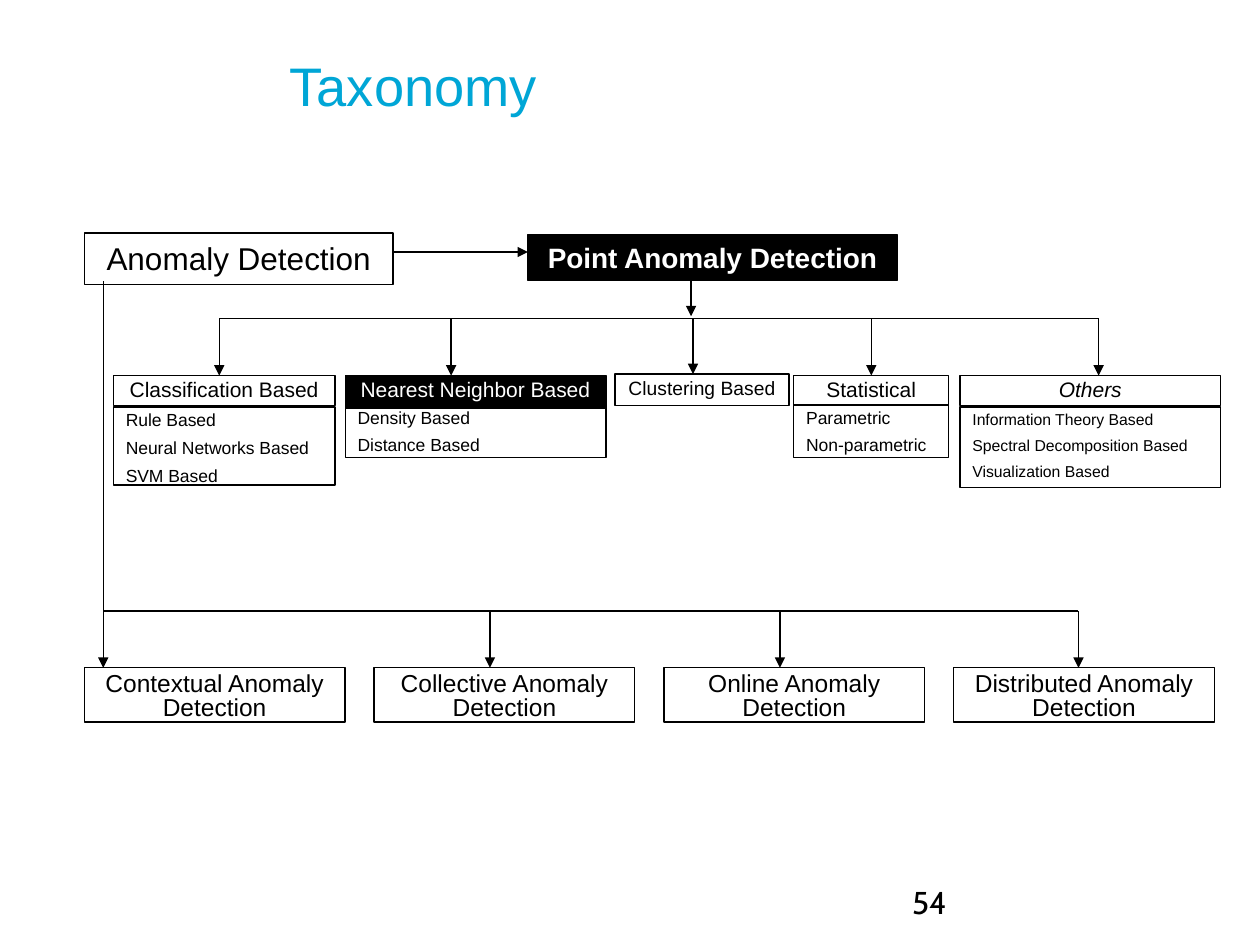
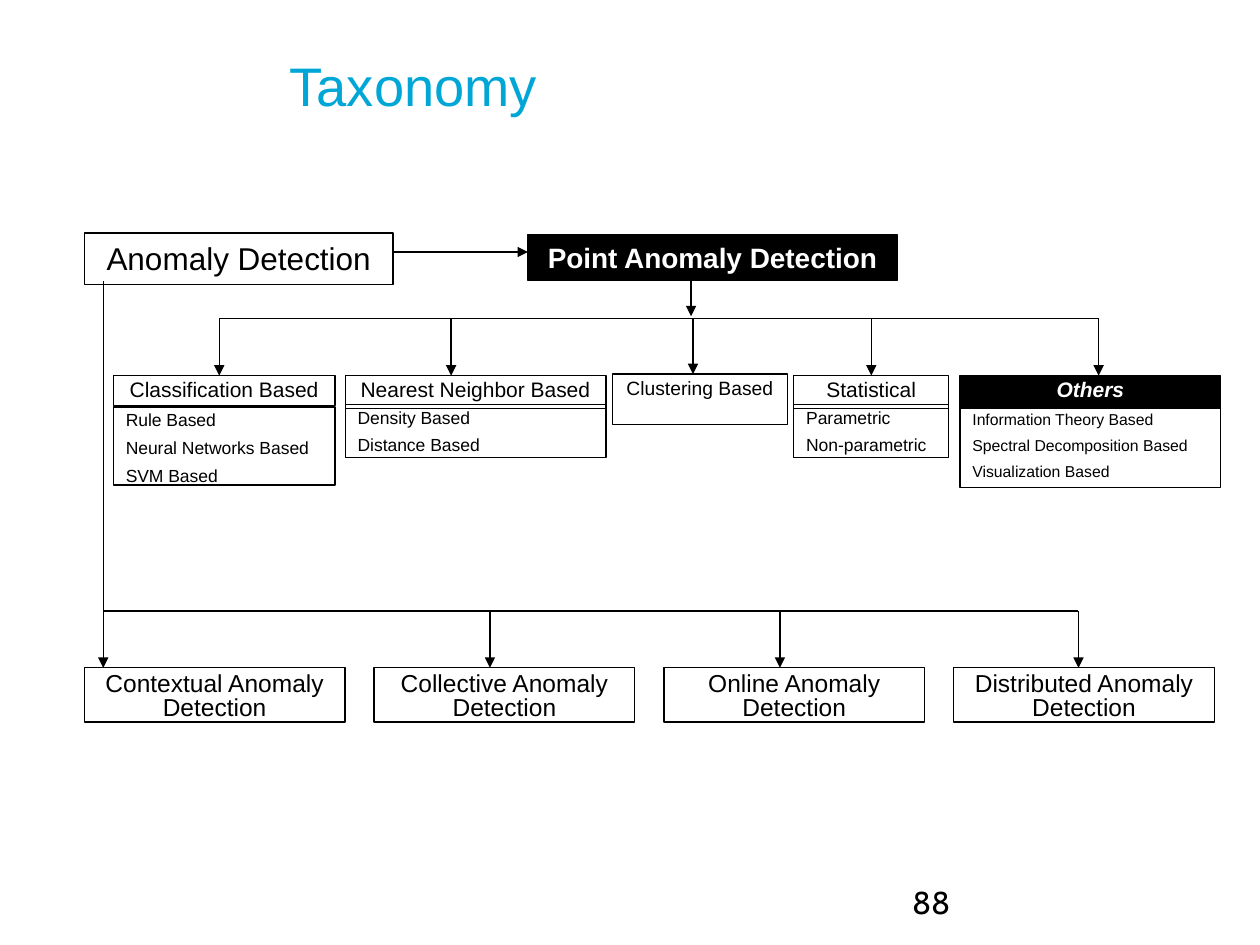
from collections import namedtuple

from lxml import etree
from pptx import Presentation
from pptx.dml.color import RGBColor
from pptx.enum import shapes, text
from pptx.oxml import ns
from pptx.util import Pt

BLACK, WHITE, CYAN = "000000", "FFFFFF", "00A6D6"
LINE_WIDTH = 0.75
CENTER, LEFT = text.PP_ALIGN.CENTER, text.PP_ALIGN.LEFT

# Rows of the diagram, in points
TRUNK_TOP, CATEGORY_TOP = 182.2, 214.6
BRANCH_TOP, KIND_TOP = 349.2, 381.6
KIND_LEFT, KIND_STEP, KIND_WIDTH = 48.2, 165.6, 149

KINDS = ["Contextual", "Collective", "Online", "Distributed"]
KIND_ARROWS = [59, 280, 445.7, 616.3]

# arrow is the x of the incoming arrow; None means the middle of the box
Category = namedtuple(
    "Category", "name left width arrow items item_size body_top body_height")
CATEGORIES = [
    Category("Classification Based", 64.8, 126.7, 125.3,
             ["Rule Based", "Neural Networks Based", "SVM Based"],
             10, 232.6, 44.6),
    Category("Nearest Neighbor Based", 197.3, 149, 257.8,
             ["Density Based", "Distance Based"], 10, 231.1, 30.2),
    Category("Statistical", 453.6, 88.6, None,
             ["Parametric", "Non-parametric"], 10, 231.1, 30.2),
    Category("Others", 548.6, 149, 627.8,
             ["Information Theory Based", "Spectral Decomposition Based",
              "Visualization Based"], 9, 232.6, 46.1),
]

# What differs between the slides
Page = namedtuple("Page", "number highlight bold header_heights clustering")
PAGES = [
    Page("54", "Nearest Neighbor Based", False, [17.3, 18.7, 17.3, 17.3],
         (351.4, 213.8, 99.4, 18)),
    Page("88", "Others", True, [17.3, 18.7, 18.7, 18.7],
         (349.9, 213.8, 100.1, 28.8)),
]


def color(value):
    return RGBColor.from_string(value)


class Deck:
    """Holds the style and the current slide."""

    def __init__(self):
        self.presentation = Presentation()
        self.presentation.slide_width = Pt(720)
        self.presentation.slide_height = Pt(540)
        self.slide = None

    def add_slide(self):
        layout = self.presentation.slide_layouts[6]
        self.slide = self.presentation.slides.add_slide(layout)

    def set_text(self, shape, lines, size, ink=BLACK, font="Arial",
                 insets=(7.2, 3.6), align=LEFT, spacing=1.0, before=0,
                 bold=False, italic=False):
        frame = shape.text_frame
        frame.text = "\n".join(lines)
        frame.word_wrap = True
        frame.auto_size = text.MSO_AUTO_SIZE.NONE
        frame.vertical_anchor = text.MSO_ANCHOR.TOP
        frame.margin_left = frame.margin_right = Pt(insets[0])
        frame.margin_top = frame.margin_bottom = Pt(insets[1])
        for paragraph in frame.paragraphs:
            paragraph.alignment = align
            paragraph.line_spacing = spacing
            paragraph.space_before = Pt(before)
            for run in paragraph.runs:
                run.font.name, run.font.size = font, Pt(size)
                run.font.bold, run.font.italic = bold, italic
                run.font.color.rgb = color(ink)

    def label(self, box, line, size, **style):
        shape = self.slide.shapes.add_textbox(*map(Pt, box))
        self.set_text(shape, [line], size, **style)

    def box(self, box, lines, size, filled=False, **style):
        shape = self.slide.shapes.add_shape(
            shapes.MSO_SHAPE.RECTANGLE, *map(Pt, box))
        shape.shadow.inherit = False
        shape.line.color.rgb = color(BLACK)
        shape.line.width = Pt(LINE_WIDTH)
        if filled:
            shape.fill.solid()
            shape.fill.fore_color.rgb = color(BLACK)
        else:
            shape.fill.background()
        self.set_text(shape, lines, size, ink=WHITE if filled else BLACK, **style)
        return shape

    def line(self, x1, y1, x2, y2, arrow=True, target=None):
        connector = self.slide.shapes.add_connector(
            shapes.MSO_CONNECTOR.STRAIGHT, Pt(x1), Pt(y1), Pt(x2), Pt(y2))
        connector.line.color.rgb = color(BLACK)
        connector.line.width = Pt(LINE_WIDTH)
        if arrow:
            etree.SubElement(connector.get_or_add_ln(),
                             ns.qn("a:tailEnd"), type="triangle")
        etree.SubElement(connector.element.spPr, ns.qn("a:effectLst"))
        if target is not None:
            connector.end_connect(target, 0)


def draw_top(deck):
    deck.label((165.6, 30, 554.4, 80), "Taxonomy", 31, ink=CYAN, insets=(0, 0))
    deck.box((48.2, 133.2, 176.4, 29.5), ["Anomaly Detection"], 18,
             align=CENTER, before=12.5)
    deck.box((301.7, 133.9, 211, 26.6), ["Point Anomaly Detection"], 16,
             filled=True, bold=True, align=CENTER, before=10)
    deck.line(224.6, 144, 301.7, 144)
    deck.line(394.9, 159.5, 394.9, 180.7)
    deck.line(125.3, TRUNK_TOP, 627.8, TRUNK_TOP, arrow=False)


def draw_categories(deck, page):
    heading = dict(align=CENTER, spacing=0.8, before=7.5)
    for category, height in zip(CATEGORIES, page.header_heights):
        left, width = category.left, category.width
        marked = category.name == page.highlight
        header = deck.box((left, CATEGORY_TOP, width, height), [category.name],
                          12, filled=marked, bold=marked and page.bold,
                          italic=category.name == "Others", **heading)
        deck.box((left, category.body_top, width, category.body_height),
                 category.items, category.item_size, spacing=0.8, before=6.2)
        x = category.arrow or left + width / 2
        deck.line(x, TRUNK_TOP, x, CATEGORY_TOP,
                  target=None if category.arrow else header)
    deck.box(page.clustering, ["Clustering Based"], 11, **heading)
    deck.line(396, TRUNK_TOP, 396, page.clustering[1])


def draw_kinds(deck):
    deck.line(KIND_ARROWS[0], BRANCH_TOP, KIND_ARROWS[-1], BRANCH_TOP, arrow=False)
    for index, (kind, x) in enumerate(zip(KINDS, KIND_ARROWS)):
        deck.box((KIND_LEFT + index * KIND_STEP, KIND_TOP, KIND_WIDTH, 31),
                 [f"{kind} Anomaly Detection"], 14,
                 align=CENTER, spacing=0.8, before=8.8)
        # The first arrow comes straight from the root box
        deck.line(x, BRANCH_TOP if index else 160.6, x, KIND_TOP)


def main():
    deck = Deck()
    for page in PAGES:
        deck.add_slide()
        draw_top(deck)
        draw_categories(deck, page)
        draw_kinds(deck)
        # Page number
        deck.label((516.2, 501.8, 167.8, 28.8), page.number, 18,
                   font="Cabin", insets=(5, 2.9))
    deck.presentation.save("out.pptx")


if __name__ == "__main__":
    main()
